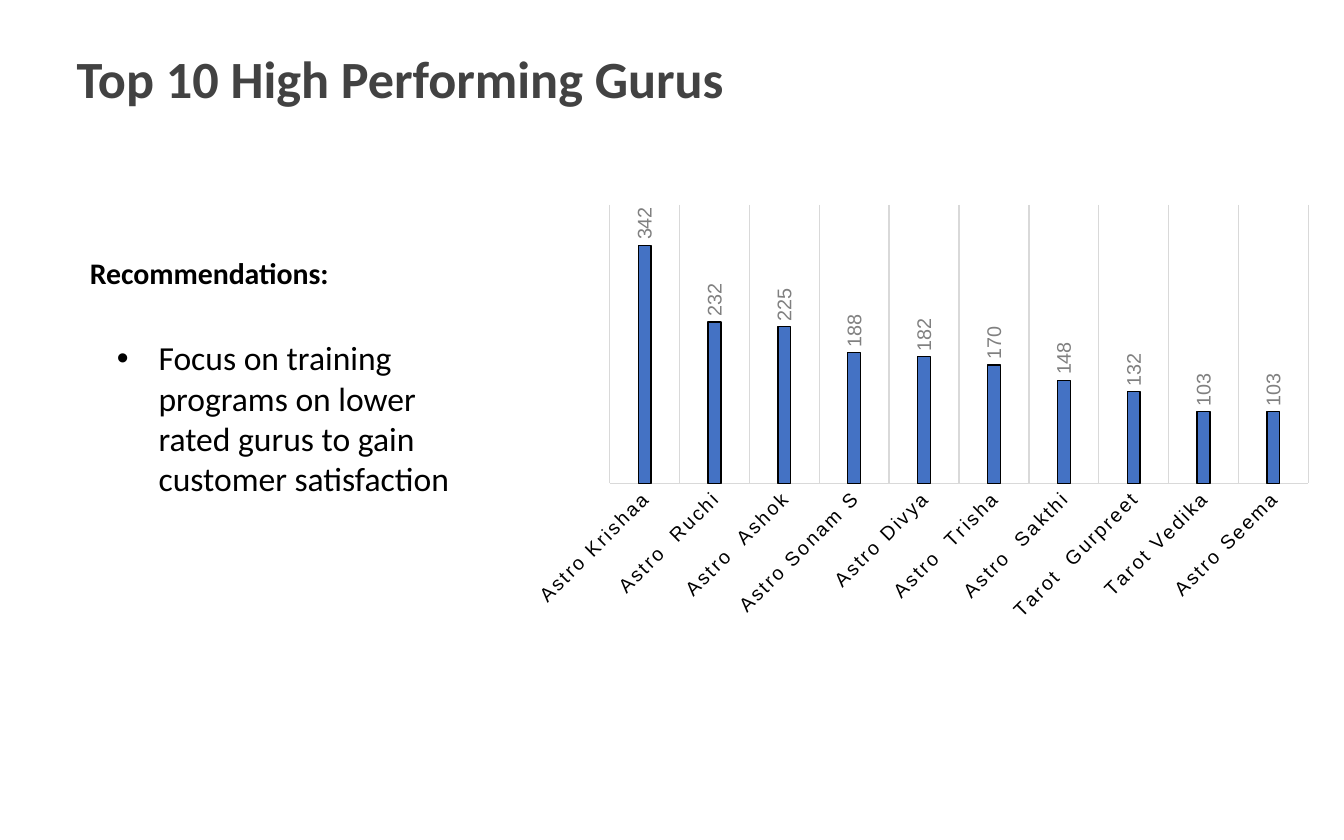
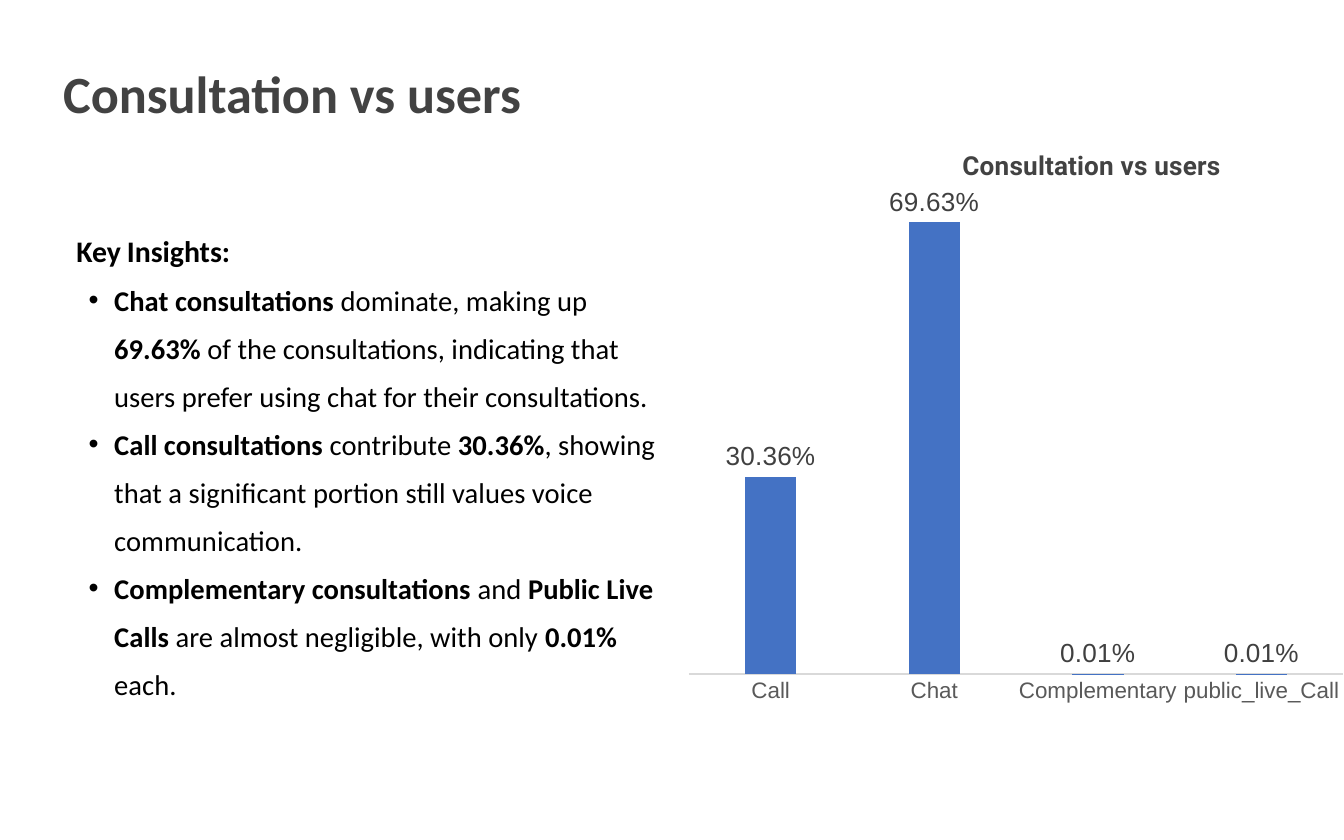
from lxml.etree import SubElement
from pptx import Presentation
from pptx.chart.data import CategoryChartData
from pptx.dml.color import RGBColor
from pptx.enum.chart import XL_CHART_TYPE, XL_LABEL_POSITION, XL_TICK_MARK
from pptx.enum.text import MSO_ANCHOR, MSO_AUTO_SIZE, PP_ALIGN
from pptx.oxml import parse_xml
from pptx.oxml.ns import nsdecls, qn
from pptx.util import Inches, Pt

# The slide is a grid of 100 columns by 100 rows
WIDTH, HEIGHT = Inches(10), Inches(6.25)
COLUMN, ROW = WIDTH / 100, HEIGHT / 100
TITLE_SIZE = (74.9, 9.12)

TEXT_FONT, CHART_FONT, CHART_TITLE_FONT = "Calibri", "Arial", "Roboto"
BLACK, TITLE_GREY, BAR_BLUE, RULE_GREY = "000000", "424242", "4472C4", "D9D9D9"


def colour(value):
    return RGBColor.from_string(value)


def grid(box):
    """Turn (column, row, columns, rows) into slide lengths."""
    left, top, width, height = box
    return int(left * COLUMN), int(top * ROW), int(width * COLUMN), int(height * ROW)


def style_font(font, name, size, value, bold=False):
    font.name, font.size, font.bold = name, Pt(size), bold
    font.color.rgb = colour(value)


def style_line(line, value):
    line.color.rgb = colour(value)
    line.width = Pt(0.75)


# Text

def prepare_frame(shape, box, insets=(0.1, 0.05)):
    shape.left, shape.top, shape.width, shape.height = grid(box)
    frame = shape.text_frame
    frame.word_wrap = True
    frame.auto_size = MSO_AUTO_SIZE.NONE
    frame.vertical_anchor = MSO_ANCHOR.TOP
    frame.margin_left = frame.margin_right = Inches(insets[0])
    frame.margin_top = frame.margin_bottom = Inches(insets[1])
    return frame


def write_para(para, spans, spacing, value=BLACK):
    """Fill a paragraph with spans of (text, size, bold)."""
    para.alignment = PP_ALIGN.LEFT
    para.line_spacing = spacing
    para.space_before = para.space_after = Pt(0)
    for text, size, bold in spans:
        span = para.add_run()
        span.text = text
        style_font(span.font, TEXT_FONT, size, value, bold)


def add_bullet(para, indent):
    props = para._p.get_or_add_pPr()
    props.set("marL", str(Inches(indent)))
    props.set("indent", str(-Inches(indent)))
    SubElement(SubElement(props, qn("a:buClr")), qn("a:srgbClr"), val=BLACK)
    SubElement(props, qn("a:buFont"), typeface="Arial")
    SubElement(props, qn("a:buChar"), char="•")


def write_title(page, text, corner):
    frame = prepare_frame(page.shapes.title, corner + TITLE_SIZE, (0, 0))
    write_para(frame.paragraphs[0], [(text, 28, True)], 1.2, TITLE_GREY)


def write_heading(page, spans, box):
    frame = prepare_frame(page.shapes.add_textbox(*grid(box)), box)
    write_para(frame.paragraphs[0], spans, 1.2)


def write_list(page, items, box, size, indent, spacing, insets=(0.1, 0.05)):
    """Each item is a list of (text, bold)."""
    frame = prepare_frame(page.placeholders[1], box, insets)
    for number, item in enumerate(items):
        para = frame.add_paragraph() if number else frame.paragraphs[0]
        write_para(para, [(text, size, bold) for text, bold in item], spacing)
        add_bullet(para, indent)


# Charts

def set_layout(element, position, target=None, **shares):
    """Fix a chart part at shares of the chart's size."""
    for old in element.findall(qn("c:layout")):
        element.remove(old)
    layout = parse_xml(f"<c:layout {nsdecls('c')}><c:manualLayout/></c:layout>")
    manual = layout[0]
    if target:
        SubElement(manual, qn("c:layoutTarget"), val=target)
    for name in ("x", "y"):
        SubElement(manual, qn(f"c:{name}Mode"), val="edge")
    for name, share in shares.items():
        SubElement(manual, qn(f"c:{name}"), val=str(share))
    element.insert(position, layout)


def turn_text(element, degrees, tracking=0):
    text = element.find(qn("c:txPr"))
    body = text.find(qn("a:bodyPr"))
    body.set("rot", str(degrees * 60000))
    body.set("vert", "horz")
    for props in text.iter(qn("a:defRPr")):
        props.set("spc", str(tracking))


def add_columns(page, box, values, top_value, gap, overlap, plot_box,
                axis_text, label_text, number_format="General"):
    """Column chart with value labels and a hidden value axis."""
    data = CategoryChartData(number_format=number_format)
    data.categories = values.keys()
    data.add_series("Series 1", values.values())
    chart = page.shapes.add_chart(
        XL_CHART_TYPE.COLUMN_CLUSTERED, *grid(box), data).chart
    chart.has_legend = chart.has_title = False
    style_font(chart.font, CHART_FONT, 10, BLACK)
    set_layout(chart._chartSpace.chart.plotArea, 0, "inner",
               **dict(zip("xywh", plot_box)))

    # Axes
    scale, names = chart.value_axis, chart.category_axis
    scale.minimum_scale, scale.maximum_scale = 0, top_value
    scale.visible = scale.has_major_gridlines = False
    names.major_tick_mark = names.minor_tick_mark = XL_TICK_MARK.NONE
    style_line(names.format.line, RULE_GREY)
    style_font(names.tick_labels.font, CHART_FONT, *axis_text)

    # Columns and their labels
    plot = chart.plots[0]
    plot.gap_width, plot.overlap, plot.vary_by_categories = gap, overlap, False
    series = plot.series[0]
    series.format.fill.solid()
    series.format.fill.fore_color.rgb = colour(BAR_BLUE)
    labels = series.data_labels
    labels.show_value = True
    labels.position = XL_LABEL_POSITION.OUTSIDE_END
    labels.number_format = number_format
    labels.number_format_is_linked = False
    style_font(labels.font, CHART_FONT, *label_text)
    return chart


def add_guru_chart(page, box):
    gurus = {
        "Astro Krishaa": 342, "Astro  Ruchi": 232, "Astro  Ashok": 225,
        "Astro Sonam S": 188, "Astro Divya": 182, "Astro  Trisha": 170,
        "Astro  Sakthi": 148, "Tarot  Gurpreet": 132, "Tarot Vedika": 103,
        "Astro Seema": 103,
    }
    chart = add_columns(page, box, gurus, 400, 444, -90, (0.13, 0.05, 0.87, 0.53),
                        (10.5, BLACK), (10.6, "808080"))
    names, series = chart.category_axis, chart.plots[0].series[0]
    names.has_major_gridlines = True
    style_line(names.major_gridlines.format.line, RULE_GREY)
    style_line(series.format.line, BLACK)
    turn_text(names._element, -45, tracking=120)
    turn_text(series.data_labels._element, -90)


def add_consultation_chart(page, box):
    shares = {"Call": 0.3036, "Chat": 0.6963,
              "Complementary": 0.0001, "public_live_Call": 0.0001}
    chart = add_columns(page, box, shares, 0.8, 219, -27, (0.05, 0.05, 0.95, 0.87),
                        (12, "595959"), (14, "404040"), "0.00%")
    title = chart.chart_title
    span = title.text_frame.paragraphs[0].add_run()
    span.text = "Consultation vs users"
    style_font(span.font, CHART_TITLE_FONT, 14, TITLE_GREY, True)
    title.include_in_layout = False
    set_layout(title._element, 1, x=0.44, y=0.03)


# Slides

def build_gurus(page):
    write_title(page, "Top 10 High Performing Gurus", (5.7, 4))
    add_guru_chart(page, (37.6, 21.28, 59.8, 62.56))
    write_heading(page, [("Recommendations:", 16, True)], (5.7, 28.64, 50, 6.4))
    advice = ("Focus on training programs on lower rated gurus "
              "to gain customer satisfaction")
    write_list(page, [[(advice, False)]], (7.7, 39.36, 27.9, 20.96), 18, 0.31, 1.0)


def build_consultations(page):
    write_title(page, "Consultation vs users", (4.7, 5.76))
    add_consultation_chart(page, (48.7, 14.88, 51.3, 71.04))
    write_heading(page, [("Key", 16, True), (" ", 14, True), ("Insights:", 16, True)],
                  (4.7, 26.08, 50, 7.84))
    insights = [
        [("Chat consultations", True), (" dominate, making up ", False),
         ("69.63%", True),
         (" of the consultations, indicating that users prefer using chat "
          "for their consultations.", False)],
        [("Call consultations", True), (" contribute ", False), ("30.36%", True),
         (", showing that a significant portion still values voice "
          "communication.", False)],
        [("Complementary consultations", True), (" and ", False),
         ("Public Live Calls", True),
         (" are almost negligible, with only ", False), ("0.01%", True),
         (" each.", False)],
    ]
    write_list(page, insights, (5.6, 32, 45, 57.28), 15.3, 0.19, 1.4, (0.1, 0))


def main():
    deck = Presentation()
    deck.slide_width, deck.slide_height = WIDTH, HEIGHT
    for build in (build_gurus, build_consultations):
        build(deck.slides.add_slide(deck.slide_layouts[1]))
    deck.save("out.pptx")


if __name__ == "__main__":
    main()
